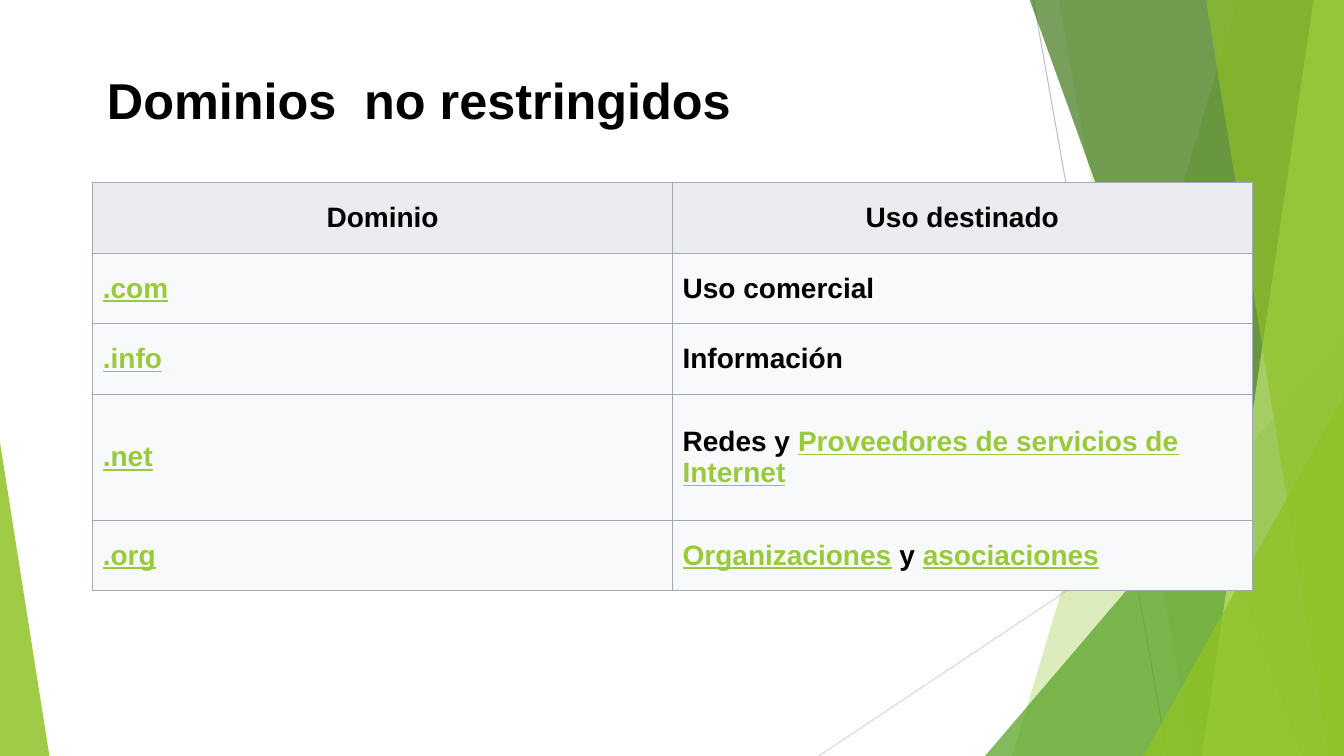
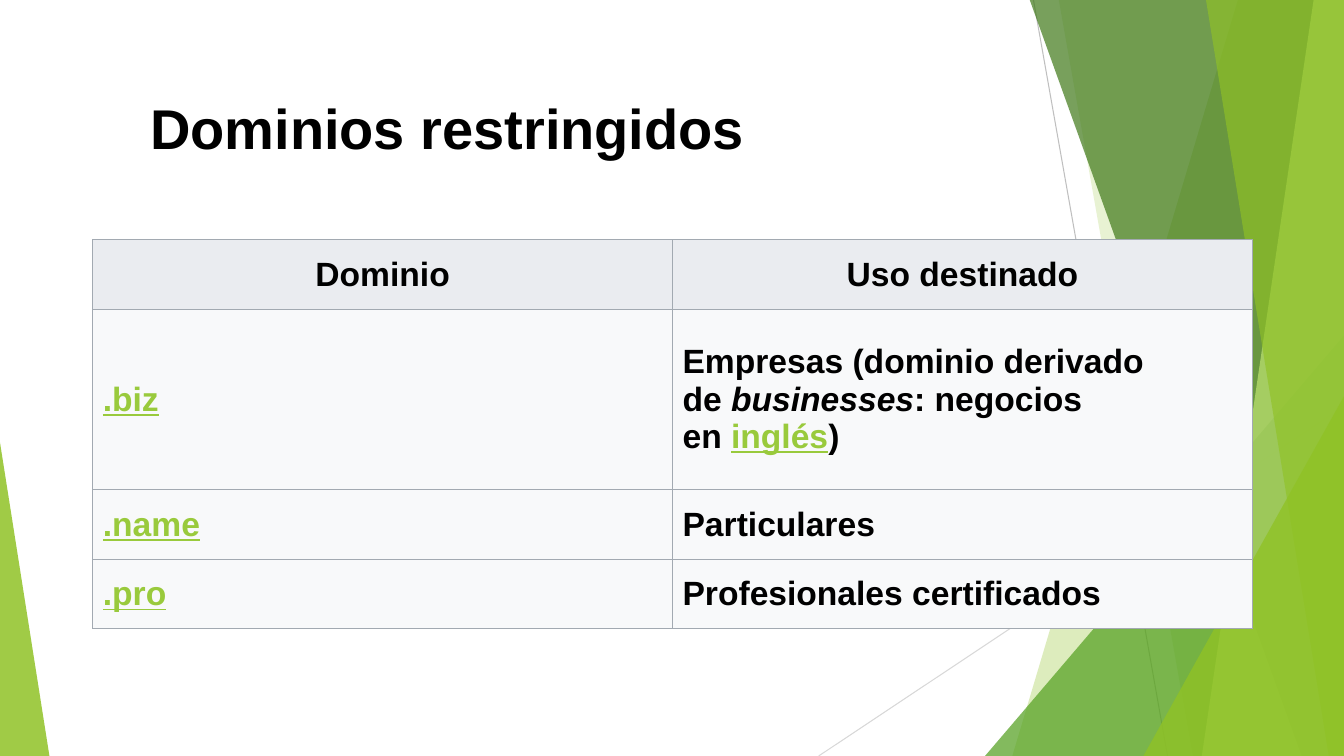
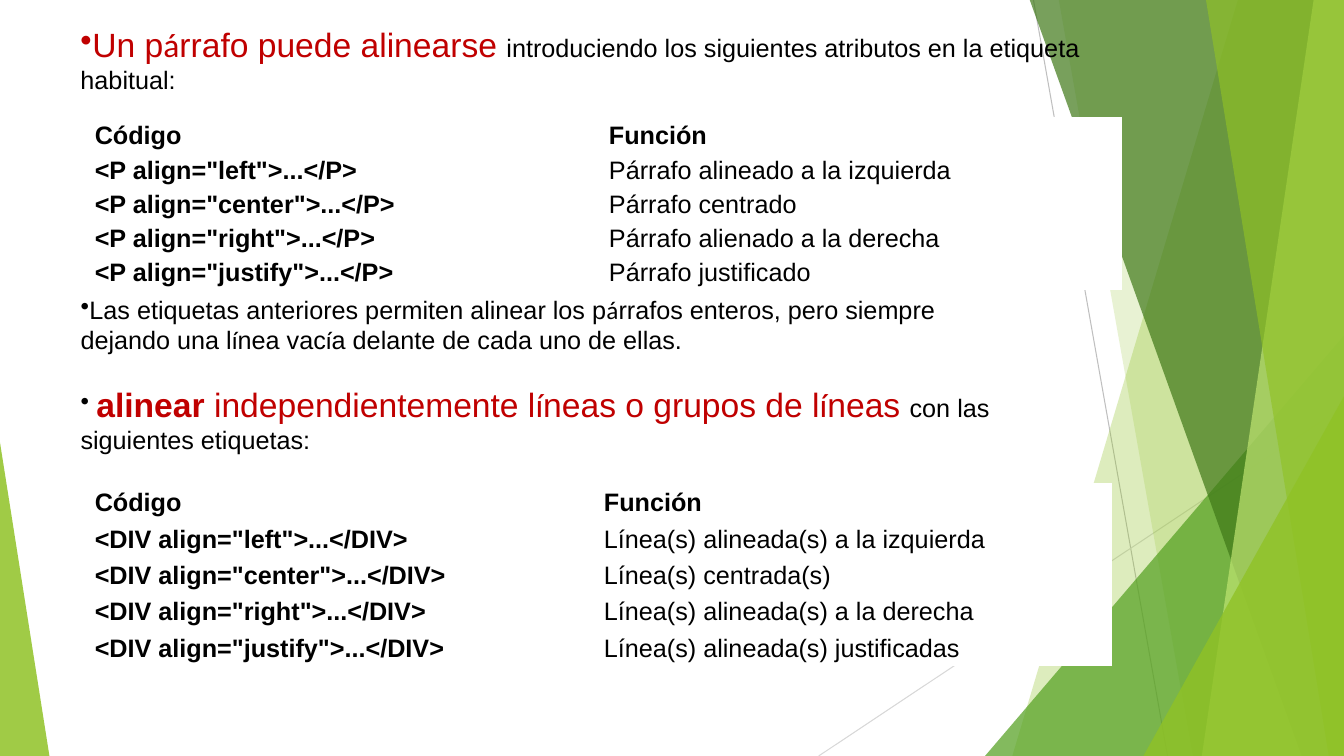
from lxml import etree
from pptx import Presentation
from pptx.dml.color import RGBColor
from pptx.enum import shapes as shape_kinds, text as text_kinds
from pptx.oxml import ns
from pptx.util import Inches, Pt

BLACK = RGBColor(0x00, 0x00, 0x00)
WHITE = RGBColor(0xFF, 0xFF, 0xFF)
RED = RGBColor(0xC0, 0x00, 0x00)
LINK_GREEN = RGBColor(0x99, 0xCA, 0x3C)
LEAF = RGBColor(0x90, 0xC2, 0x26)
GRASS = RGBColor(0x54, 0xA0, 0x21)
FOREST = RGBColor(0x3F, 0x78, 0x18)
LIME = RGBColor(0xBF, 0xE4, 0x71)
GRAY = RGBColor(0xBF, 0xBF, 0xBF)
PALE_GRAY = RGBColor(0xD8, 0xD8, 0xD8)
HEADER_FILL = RGBColor(0xEA, 0xEC, 0xF0)
BODY_FILL = RGBColor(0xF8, 0xF9, 0xFA)
GRID = RGBColor(0xA2, 0xA9, 0xB1)

WIDTH, HEIGHT = 13.33, 7.5
TOP = -0.01
BLANK_LINE = 0.29
BASE = {"name": "Arial", "size": Pt(18), "bold": False, "color": BLACK}
BOLD = {"bold": True}
LINK = {"color": LINK_GREEN, "underline": True}
RED_LEAD = {"size": Pt(24), "color": RED}
ACCENT = {"name": "Calibri"}
INSETS = (0.1, 0.05, 0.1, 0.05)
CODE_INSETS = (0.02, 0.02, 0.02, 0.02)


def add_child(parent, tag, **attributes):
    """Append an XML element with the given attributes."""
    child = etree.SubElement(parent, ns.qn(tag))
    for name, value in attributes.items():
        child.set(name, str(value))
    return child


def set_insets(frame, insets):
    """Set the left, top, right and bottom margins, in inches."""
    for side, inset in zip(("left", "top", "right", "bottom"), insets):
        setattr(frame, f"margin_{side}", Inches(inset))


def write_runs(paragraph, runs, base):
    """Write a string, or (text, format) pairs, over a base format."""
    if isinstance(runs, str):
        runs = [(runs, {})]
    for words, changes in runs:
        run = paragraph.add_run()
        run.text = words
        for name, value in {**base, **changes}.items():
            if name == "color":
                run.font.color.rgb = value
            else:
                setattr(run.font, name, value)


def set_bullet(paragraph, color, indent):
    """Give a paragraph a round bullet of its own colour."""
    properties = paragraph._p.get_or_add_pPr()
    properties.set("marL", "0")
    properties.set("indent", str(Inches(indent)))
    bullet_color = add_child(properties, "a:buClr")
    add_child(bullet_color, "a:srgbClr", val=color)
    add_child(properties, "a:buChar", char="•")


def paint(shape, color, opacity):
    """Fill a shape with a see-through colour, with no line or shadow."""
    shape.shadow.inherit = False
    shape.fill.solid()
    shape.fill.fore_color.rgb = color
    shape.line.fill.background()
    color_element = shape.element.spPr.find(".//" + ns.qn("a:srgbClr"))
    add_child(color_element, "a:alpha", val=opacity * 1000)


def add_ray(slide, start, end, color):
    """Draw one thin background line."""
    ray = slide.shapes.add_connector(
        shape_kinds.MSO_CONNECTOR.STRAIGHT,
        *[Inches(length) for length in (*start, *end)])
    ray.line.color.rgb = color
    ray.line.width = Pt(0.75)
    add_child(ray.element.spPr, "a:effectLst")
    return ray


def add_band(slide, top_left, bottom_left, color, opacity):
    """Draw a band from a slanted left edge to the right slide edge."""
    corners = [(top_left, TOP), (WIDTH, TOP), (WIDTH, HEIGHT), (bottom_left, HEIGHT)]
    points = [(Inches(x), Inches(y)) for x, y in corners]
    builder = slide.shapes.build_freeform(*points[0])
    builder.add_line_segments(points[1:], close=True)
    band = builder.convert_to_shape()
    paint(band, color, opacity)
    return band


def add_corner(slide, left, top, width, apex, color, opacity):
    """Draw a right triangle that stands on the bottom slide edge."""
    corner = slide.shapes.add_shape(
        shape_kinds.MSO_SHAPE.ISOSCELES_TRIANGLE, Inches(left), Inches(top),
        Inches(width), Inches(HEIGHT - top))
    corner.adjustments[0] = apex
    paint(corner, color, opacity)
    return corner


def decorate_master(presentation, slide):
    """Draw the green facets on a slide, then move them to the master."""
    facets = [
        add_ray(slide, (10.25, 0), (11.58, HEIGHT), GRAY),
        add_ray(slide, (WIDTH, 4.03), (8.12, HEIGHT), PALE_GRAY),
        add_band(slide, 12.28, 10.04, LEAF, 30),
        add_band(slide, 10.5, 11.83, LEAF, 20),
        add_corner(slide, 9.77, 3.33, 3.56, 1, GRASS, 72),
        add_band(slide, 10.21, 12.91, FOREST, 70),
        add_band(slide, 13.03, 11.92, LIME, 70),
        add_band(slide, 11.96, 13.18, LEAF, 65),
        add_corner(slide, 11.34, 3.93, 1.99, 1, LEAF, 80),
        add_corner(slide, 0, 4.39, 0.49, 0, LEAF, 85),
    ]
    tree = presentation.slide_master.shapes.element
    for index, facet in enumerate(facets):
        facet.element.xpath("./*/p:cNvPr")[0].set("id", str(100 + index))
        tree.insert(2 + index, facet.element)


def set_title(slide, box, words, size, bottom_inset=0.04):
    """Place and format the title placeholder."""
    title = slide.shapes.title
    title.left, title.top, title.width, title.height = map(Inches, box)
    title.fill.solid()
    title.fill.fore_color.rgb = WHITE
    frame = title.text_frame
    frame.word_wrap = True
    frame.auto_size = text_kinds.MSO_AUTO_SIZE.NONE
    frame.vertical_anchor = text_kinds.MSO_ANCHOR.MIDDLE
    set_insets(frame, (0, 0.05, 0, bottom_inset))
    paragraph = frame.paragraphs[0]
    paragraph.alignment = text_kinds.PP_ALIGN.LEFT
    write_runs(paragraph, words, {**BASE, **BOLD, "size": Pt(size)})


def add_borders(cell, color, width):
    """Draw all four borders of a cell."""
    properties = cell._tc.get_or_add_tcPr()
    for side in "LRTB":
        line = add_child(properties, f"a:ln{side}", w=Pt(width))
        add_child(add_child(line, "a:solidFill"), "a:srgbClr", val=color)


def add_table(slide, box, heights, rows, style_cell):
    """Add a table of equal columns; style_cell gives each cell its look."""
    left, top, width = box
    columns = len(rows[0])
    table = slide.shapes.add_table(
        len(rows), columns, Inches(left), Inches(top), Inches(width),
        Inches(sum(heights))).table
    table.first_row = table.horz_banding = False
    for column in table.columns:
        column.width = Inches(width / columns)
    for row_index, (height, row) in enumerate(zip(heights, rows)):
        table.rows[row_index].height = Inches(height)
        for column_index, runs in enumerate(row):
            cell = table.cell(row_index, column_index)
            cell.vertical_anchor = text_kinds.MSO_ANCHOR.MIDDLE
            style_cell(cell, row_index, column_index, runs)


def add_domain_table(slide, top, heights, rows, size):
    """Add a grid of domains and their uses under a grey heading row."""
    def style_cell(cell, row_index, column_index, runs):
        """Style a heading, a domain link or a use."""
        heading = row_index == 0
        add_borders(cell, GRID, 0.75)
        cell.fill.solid()
        cell.fill.fore_color.rgb = HEADER_FILL if heading else BODY_FILL
        set_insets(cell, INSETS)
        paragraph = cell.text_frame.paragraphs[0]
        if heading:
            paragraph.alignment = text_kinds.PP_ALIGN.CENTER
        link = {} if heading or column_index else LINK
        write_runs(paragraph, runs, {**BASE, **BOLD, "size": Pt(size), **link})

    headings = ("Dominio", "Uso destinado")
    add_table(slide, (0.92, top, 11.5), heights, [headings, *rows], style_cell)


def add_code_table(slide, top, width, row_height, tag, uses):
    """Add a plain table of the align values of a tag and their effects."""
    def style_cell(cell, row_index, column_index, runs):
        """Style a cell white, bold in the heading and the code column."""
        add_borders(cell, WHITE, 1)
        cell.fill.solid()
        cell.fill.fore_color.rgb = WHITE
        set_insets(cell, CODE_INSETS)
        paragraph = cell.text_frame.paragraphs[0]
        paragraph.line_spacing = 1.07
        bold = row_index == 0 or column_index == 0
        write_runs(paragraph, runs, {**BASE, "bold": bold})

    values = ("left", "center", "right", "justify")
    rows = [("Código", "Función")]
    rows += [(f'<{tag} align="{value}">...</{tag}>', use)
             for value, use in zip(values, uses)]
    add_table(slide, (0.92, top, width), [row_height] * len(rows), rows, style_cell)


def add_notes_text(slide, box, paragraphs):
    """Add paragraphs of (runs, bullet colour, bullet indent, space before)."""
    frame = slide.shapes.add_textbox(*map(Inches, box)).text_frame
    frame.word_wrap = True
    frame.vertical_anchor = text_kinds.MSO_ANCHOR.MIDDLE
    set_insets(frame, (0.1, 0.05, 0.1, 0.05 + BLANK_LINE))
    for index, (runs, color, indent, space) in enumerate(paragraphs):
        paragraph = frame.add_paragraph() if index else frame.paragraphs[0]
        paragraph.space_before = Inches(space)
        if color is not None:
            set_bullet(paragraph, color, indent)
        write_runs(paragraph, runs, BASE)


def build_unrestricted(slide):
    """Fill the slide on unrestricted domains."""
    set_title(slide, (1.06, 0.62, 6.25, 1.01), "Dominios  no restringidos", 36,
              0.04 + BLANK_LINE)
    add_domain_table(slide, 1.81, (0.7, 0.7, 0.7, 1.25, 0.7), [
        (".com", "Uso comercial"),
        (".info", "Información"),
        (".net", [("Redes y\u00a0", {}),
                  ("Proveedores de servicios de Internet", LINK)]),
        (".org", [("Organizaciones", LINK), ("\u00a0y\u00a0", {}),
                  ("asociaciones", LINK)]),
    ], 20)


def build_restricted(slide):
    """Fill the slide on restricted domains."""
    set_title(slide, (1.49, 0.87, 6.11, 0.77), "Dominios restringidos", 40)
    add_domain_table(slide, 2.38, (0.69, 1.79, 0.69, 0.69), [
        (".biz", [("Empresas (dominio derivado de\u00a0", {}),
                  ("businesses", {"italic": True}),
                  (": negocios en\u00a0", {}), ("inglés", LINK), (")", {})]),
        (".name", "Particulares"),
        (".pro", "Profesionales certificados"),
    ], 24)


def build_alignment(slide):
    """Fill the slide on aligning paragraphs and lines."""
    red_accent = {**RED_LEAD, **ACCENT}
    add_code_table(slide, 1.17, 10.2, 0.34, "P", (
        "Párrafo alineado a la izquierda", "Párrafo centrado",
        "Párrafo alienado a la derecha", "Párrafo justificado"))
    add_notes_text(slide, (0.7, 0.18, 10.47, 1.11), [
        ([("Un p", RED_LEAD), ("á", red_accent),
          ("rrafo puede alinearse ", RED_LEAD),
          ("introduciendo los siguientes atributos en la etiqueta habitual:", {})],
         RED, -0.17, 0),
    ])
    add_code_table(slide, 4.8, 10.1, 0.35, "DIV", (
        "Línea(s) alineada(s) a la izquierda", "Línea(s) centrada(s)",
        "Línea(s) alineada(s) a la derecha", "Línea(s) alineada(s) justificadas"))
    add_notes_text(slide, (0.7, 2.85, 9.79, 2.02), [
        ([("Las etiquetas anteriores permiten alinear los p", {}), ("á", ACCENT),
          ("rrafos enteros, pero siempre ", {})], BLACK, -0.12, 0),
        ([("dejando una l", {}), ("í", ACCENT), ("nea vac", {}), ("í", ACCENT),
          ("a delante de cada uno de ellas. ", {})], None, 0, 0),
        ([(" ", BOLD), ("alinear ", {**RED_LEAD, **BOLD}),
          ("independientemente l", RED_LEAD), ("í", red_accent),
          ("neas o grupos de l", RED_LEAD), ("í", red_accent),
          ("neas ", RED_LEAD), ("con las siguientes etiquetas:", {})],
         BLACK, -0.12, BLANK_LINE),
    ])


def main():
    """Build and save the presentation."""
    presentation = Presentation()
    presentation.slide_width = Inches(WIDTH)
    presentation.slide_height = Inches(HEIGHT)
    title_only, blank = presentation.slide_layouts[5], presentation.slide_layouts[6]
    pages = [(title_only, build_unrestricted), (title_only, build_restricted),
             (blank, build_alignment)]
    for index, (layout, build) in enumerate(pages):
        slide = presentation.slides.add_slide(layout)
        if index == 0:
            decorate_master(presentation, slide)
        build(slide)
    presentation.save("out.pptx")


main()
